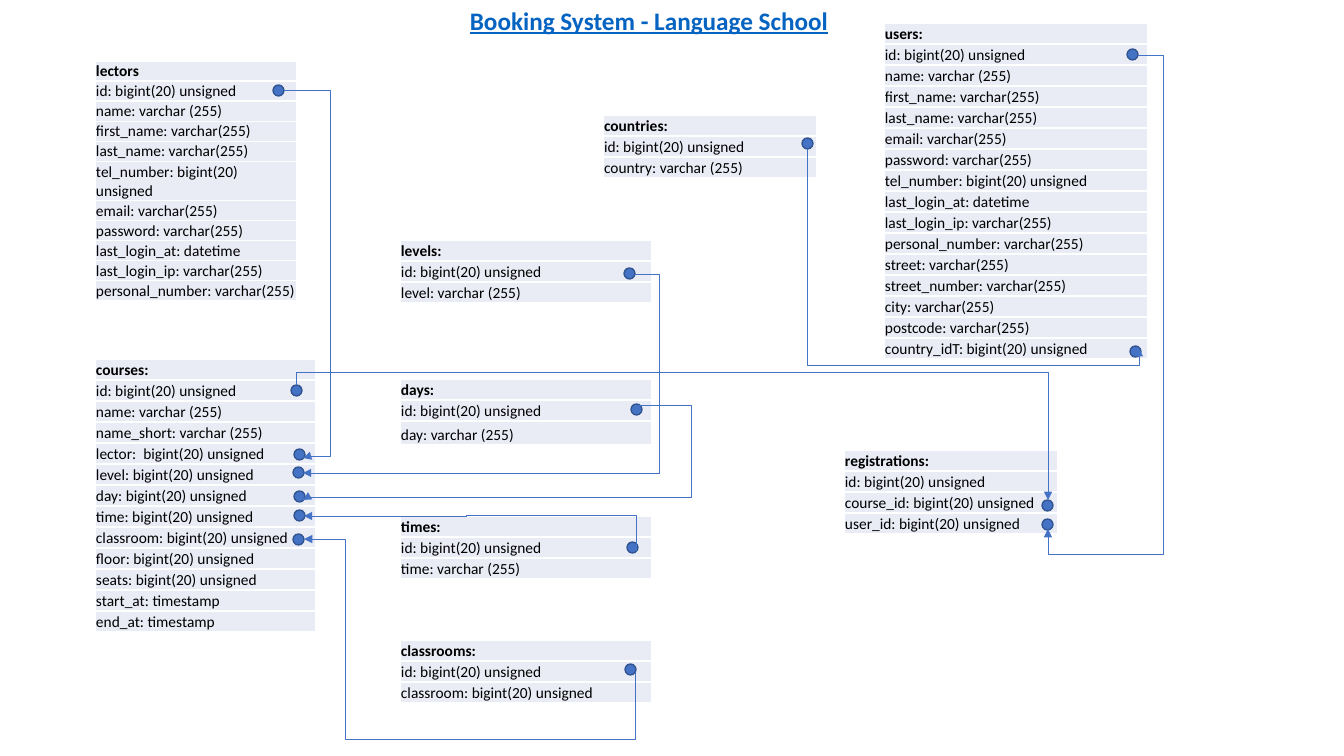
"""Build the database diagram of a language school booking system."""
from lxml.etree import SubElement
from pptx import Presentation
from pptx.dml.color import RGBColor
from pptx.enum.shapes import MSO_CONNECTOR as Connector, MSO_SHAPE as Shape
from pptx.enum.text import MSO_ANCHOR as Anchor
from pptx.oxml.ns import qn
from pptx.util import Pt

WIDTH, HEIGHT = 1344, 756
EMU_PER_PIXEL = 12192000 / WIDTH
ROW, DOT = 21, 11
FONT = "Calibri"
BLACK = RGBColor(0x00, 0x00, 0x00)
WHITE = RGBColor(0xFF, 0xFF, 0xFF)
CELL_FILL = RGBColor(0xE9, 0xEB, 0xF5)
BLUE = RGBColor(0x44, 0x72, 0xC4)
DARK_BLUE = RGBColor(0x32, 0x54, 0x91)
TITLE_BLUE = RGBColor(0x05, 0x63, 0xC1)

TITLE = "Booking System -\u00a0Language School"
KEY = "bigint(20) unsigned"
ID = f"id: {KEY}"
NAME = "name: varchar (255)"
PERSON = [ID, NAME, "first_name: varchar(255)", "last_name: varchar(255)"]
EMAIL, PASSWORD = "email: varchar(255)", "password: varchar(255)"
PHONE = f"tel_number: {KEY}"
LOGIN = ["last_login_at: datetime", "last_login_ip: varchar(255)",
         "personal_number: varchar(255)"]

TABLES = [
    (95, 61, 202, ["lectors", *PERSON, PHONE, EMAIL, PASSWORD, *LOGIN]),
    (95, 359, 221, ["courses:", ID, NAME, "name_short: varchar (255)",
                    f"lector:  {KEY}", f"level: {KEY}", f"day: {KEY}",
                    f"time: {KEY}", f"classroom: {KEY}", f"floor: {KEY}",
                    f"seats: {KEY}", "start_at: timestamp", "end_at: timestamp"]),
    (400, 240, 252, ["levels:", ID, "level: varchar (255)"]),
    (400, 379, 252, ["days:", ID, "day: varchar (255)"]),
    (400, 516, 252, ["times:", ID, "time: varchar (255)"]),
    (400, 640, 252, ["classrooms:", ID, f"classroom: {KEY}"]),
    (884, 23, 264, ["users:", *PERSON, EMAIL, PASSWORD, PHONE, *LOGIN,
                    "street: varchar(255)", "street_number: varchar(255)",
                    "city: varchar(255)", "postcode: varchar(255)",
                    f"country_idT: {KEY}"]),
    (603, 115, 214, ["countries:", ID, "country: varchar (255)"]),
    (844, 450, 214, ["registrations:", ID, f"course_id: {KEY}", f"user_id: {KEY}"]),
]
ROW_HEIGHTS = {"lectors": 19, "day: varchar (255)": 24}

DOTS = [(273, 85), (294, 449), (293, 467), (624, 268), (631, 404), (627, 542),
        (625, 664), (294, 491), (294, 510), (293, 534), (802, 138), (1127, 49),
        (291, 385), (1042, 500), (1042, 519), (1130, 346)]

ROUTES = [
    [(284, 90), (330, 90), (330, 456), (303, 456), (303, 458)],
    [(635, 274), (660, 274), (660, 473), (303, 473)],
    [(635, 405), (691, 405), (691, 497), (303, 497), (303, 500)],
    [(636, 551), (636, 515), (466, 515), (466, 516), (304, 516)],
    [(635, 673), (635, 739), (345, 739), (345, 539), (304, 539)],
    [(296, 385), (296, 372), (1048, 372), (1048, 500)],
    [(1138, 55), (1163, 55), (1163, 554), (1048, 554), (1048, 529)],
    [(807, 149), (807, 365), (1139, 365), (1139, 348)],
]


def px(value):
    return round(value * EMU_PER_PIXEL)


def write(frame, text, size=11, color=BLACK, bold=False, underline=False):
    run = frame.paragraphs[0].add_run()
    run.text = text
    font = run.font
    font.name, font.size, font.bold, font.underline = FONT, Pt(size), bold, underline
    font.color.rgb = color


def add_borders(cell):
    properties = cell._tc.get_or_add_tcPr()
    for index, side in enumerate(("lnL", "lnR", "lnT", "lnB")):
        line = properties.makeelement(qn(f"a:{side}"), {"w": str(Pt(1))})
        fill = SubElement(line, qn("a:solidFill"))
        SubElement(fill, qn("a:srgbClr"), val=str(WHITE))
        properties.insert(index, line)


def add_entity(slide, left, top, width, fields):
    heights = [ROW_HEIGHTS.get(field, ROW_HEIGHTS.get(fields[0], ROW))
               for field in fields]
    table = slide.shapes.add_table(len(fields), 1, px(left), px(top),
                                   px(width), px(sum(heights))).table
    table.first_row = table.horz_banding = False
    for index, (field, height) in enumerate(zip(fields, heights)):
        table.rows[index].height = px(height)
        cell = table.cell(index, 0)
        cell.margin_left = cell.margin_right = cell.margin_top = px(1)
        cell.margin_bottom = 0
        cell.vertical_anchor = Anchor.BOTTOM
        cell.fill.solid()
        cell.fill.fore_color.rgb = CELL_FILL
        add_borders(cell)
        write(cell.text_frame, field, bold=index == 0)


def add_dot(slide, left, top):
    dot = slide.shapes.add_shape(Shape.OVAL, px(left), px(top), px(DOT), px(DOT))
    dot.shadow.inherit = False
    dot.fill.solid()
    dot.fill.fore_color.rgb = BLUE
    dot.line.color.rgb = DARK_BLUE
    dot.line.width = Pt(1)


def add_route(slide, points):
    (x1, y1), (x2, y2) = points[0], points[-1]
    dx, dy = x2 - x1, y2 - y1
    upright = points[0][0] == points[1][0]
    width, height = (abs(dy), abs(dx)) if upright else (abs(dx), abs(dy))
    connector = slide.shapes.add_connector(Connector.ELBOW, 0, 0, 0, 0)
    connector.left, connector.top = px((x1 + x2 - width) / 2), px((y1 + y2 - height) / 2)
    connector.width, connector.height = px(width), px(height)
    connector.line.color.rgb = BLUE
    connector.line.width = Pt(0.5)

    properties = connector._element.spPr
    transform = properties.find(qn("a:xfrm"))
    if upright:
        transform.set("rot", str((90 if dx < 0 else 270) * 60000))
        transform.set("flipH", str(int((dx < 0) == (dy < 0))))
    else:
        transform.set("flipH", str(int(dx < 0)))
        transform.set("flipV", str(int(dy < 0)))

    geometry = properties.find(qn("a:prstGeom"))
    geometry.set("prst", f"bentConnector{len(points) - 1}")
    guides = geometry.find(qn("a:avLst"))
    if guides is None:
        guides = SubElement(geometry, qn("a:avLst"))
    for index, (x, y) in enumerate(points[1:-2], 1):
        along_y = upright == (index == 1)
        share = (y - y1) / dy if along_y else (x - x1) / dx
        SubElement(guides, qn("a:gd"), name=f"adj{index}",
                   fmla=f"val {round(share * 100000)}")
    SubElement(properties.find(qn("a:ln")), qn("a:tailEnd"), type="triangle")
    SubElement(properties, qn("a:effectLst"))


presentation = Presentation()
presentation.slide_width, presentation.slide_height = px(WIDTH), px(HEIGHT)
slide = presentation.slides.add_slide(presentation.slide_layouts[6])
for entity in TABLES:
    add_entity(slide, *entity)
for position in DOTS:
    add_dot(slide, *position)
for route in ROUTES:
    add_route(slide, route)
title = slide.shapes.add_textbox(px(460), 0, px(395), px(40))
title.text_frame.word_wrap = False
write(title.text_frame, TITLE, size=18, color=TITLE_BLUE, bold=True, underline=True)
presentation.save("out.pptx")
